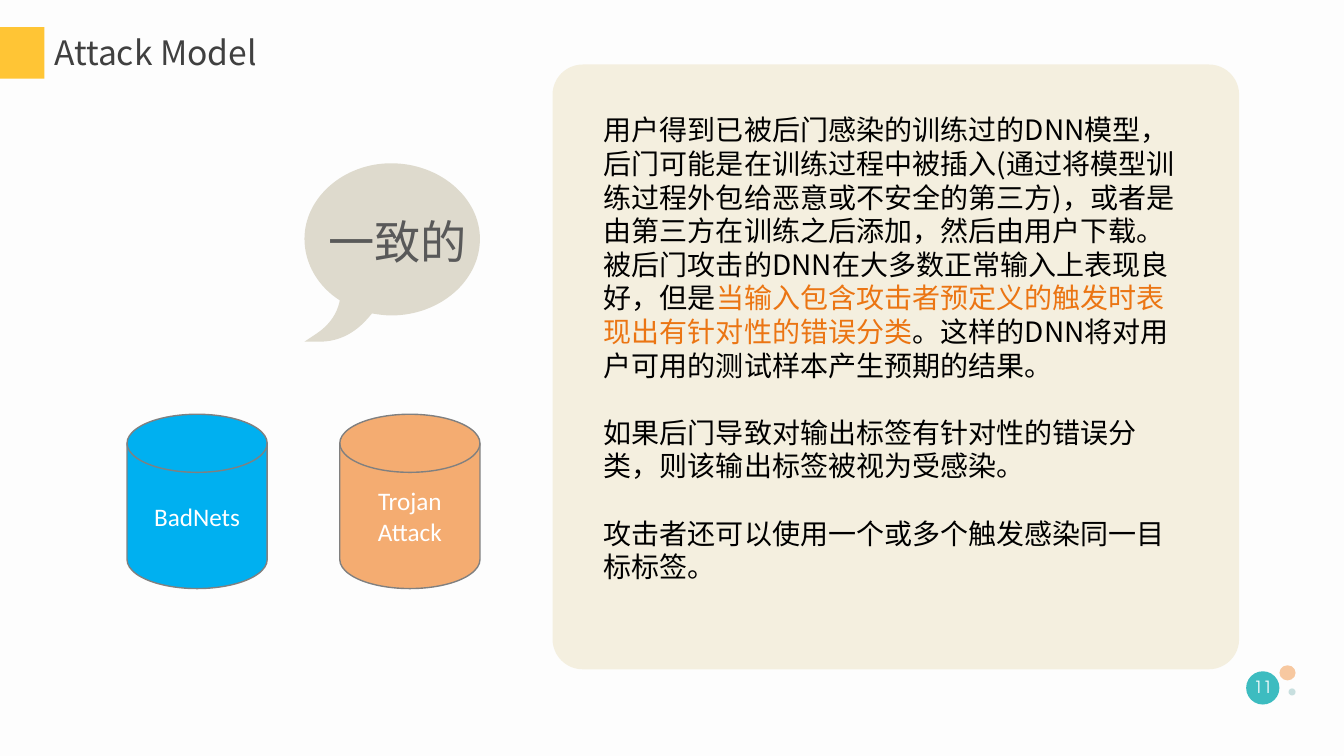
"""Builds the Attack Model slide."""
from dataclasses import dataclass

from lxml import etree
from pptx import Presentation
from pptx import util as u
from pptx.dml.color import RGBColor
from pptx.enum import shapes, text
from pptx.oxml.ns import qn


@dataclass(frozen=True)
class Theme:
    """Colours, fonts and type sizes of the slide."""
    background: str = "FDFDFD"
    accent: str = "FFC535"
    panel: str = "F4EFDF"
    bubble: str = "DEDACD"
    outline: str = "808080"
    blue: str = "00B0F0"
    orange: str = "F4AC71"
    teal: str = "3DBCC0"
    peach: str = "F7C8A0"
    mist: str = "C8DFDF"
    title: str = "404040"
    quote: str = "595959"
    body: str = "000000"
    highlight: str = "EB7513"
    white: str = "FFFFFF"
    chinese_font: str = "Noto Sans CJK SC"
    quote_font: str = "Arial"
    label_font: str = "Calibri"
    number_font: str = "TeX Gyre Adventor"
    title_size: int = 24
    quote_size: int = 33
    body_size: int = 20
    body_line: int = 24
    label_size: int = 18
    number_size: int = 12


THEME = Theme()

BODY = [
    [
        ("用户得到已被后门感染的训练过的DNN模型，后门可能是在训练过程中被插入"
         "(通过将模型训练过程外包给恶意或不安全的第三方)，或者是由第三方在训练之后添加，"
         "然后由用户下载。被后门攻击的DNN在大多数正常输入上表现良好，但是", THEME.body),
        ("当输入包含攻击者预定义的触发时表现出有针对性的错误分类", THEME.highlight),
        ("。这样的DNN将对用户可用的测试样本产生预期的结果。", THEME.body),
    ],
    [("如果后门导致对输出标签有针对性的错误分类，则该输出标签被视为受感染。", THEME.body)],
    [("攻击者还可以使用一个或多个触发感染同一目标标签。", THEME.body)],
]

BUBBLE_START = (3.88, 1.62)
BUBBLE_CURVES = [
    ((3.41, 1.62), (3.02, 1.96), (3.02, 2.37)),
    ((3.02, 2.61), (3.15, 2.84), (3.37, 2.98)),
    ((3.36, 3.04), (3.32, 3.19), (3.14, 3.31)),
    ((3.02, 3.39), (3.02, 3.39), (3.02, 3.39)),
    ((3.17, 3.39), (3.17, 3.39), (3.17, 3.39)),
    ((3.47, 3.39), (3.63, 3.18), (3.69, 3.11)),
    ((3.75, 3.12), (3.82, 3.13), (3.88, 3.13)),
    ((4.36, 3.13), (4.76, 2.79), (4.76, 2.37)),
    ((4.76, 1.96), (4.36, 1.62), (3.88, 1.62)),
]


def inches(values):
    """Turn numbers into lengths."""
    return [u.Inches(value) for value in values]


def paint(shape, fill, line=None):
    """Give a shape a flat fill and an optional thin outline."""
    shape.shadow.inherit = False
    shape.fill.solid()
    shape.fill.fore_color.rgb = RGBColor.from_string(fill)
    if line:
        shape.line.color.rgb = RGBColor.from_string(line)
        shape.line.width = u.Pt(1)
    else:
        shape.line.fill.background()


def add_run(paragraph, words, font, size, color):
    """Append one run, with a font for Latin and Chinese letters."""
    run = paragraph.add_run()
    run.text = words
    run.font.name = font
    run.font.size = u.Pt(size)
    run.font.color.rgb = RGBColor.from_string(color)
    east_asian = etree.Element(qn("a:ea"), typeface=THEME.chinese_font)
    run.font._element.find(qn("a:latin")).addnext(east_asian)


def add_block(slide, kind, box, fill, line=None):
    """Add a painted preset shape."""
    shape = slide.shapes.add_shape(kind, *inches(box))
    paint(shape, fill, line)
    return shape


def add_label(slide, box, words, font, size, color, align=text.PP_ALIGN.LEFT):
    """Add a one-line text box centred vertically."""
    frame = slide.shapes.add_textbox(*inches(box)).text_frame
    frame.word_wrap = False
    frame.vertical_anchor = text.MSO_ANCHOR.MIDDLE
    paragraph = frame.paragraphs[0]
    paragraph.alignment = align
    add_run(paragraph, words, font, size, color)


def add_cylinder(slide, left, words, fill):
    """Add an outlined cylinder naming an attack."""
    kind = shapes.MSO_SHAPE.FLOWCHART_MAGNETIC_DISK
    shape = add_block(slide, kind, (left, 4.11, 1.39, 1.73), fill, THEME.outline)
    frame = shape.text_frame
    frame.word_wrap = True
    frame.vertical_anchor = text.MSO_ANCHOR.MIDDLE
    paragraph = frame.paragraphs[0]
    paragraph.alignment = text.PP_ALIGN.CENTER
    add_run(paragraph, words, THEME.label_font, THEME.label_size, THEME.white)


def bend_segments(shape):
    """Turn each three straight segments of an outline into one cubic curve."""
    segments = list(shape._element.iter(qn("a:lnTo")))
    for index in range(0, len(segments), 3):
        curve = etree.Element(qn("a:cubicBezTo"))
        segments[index].addprevious(curve)
        for segment in segments[index:index + 3]:
            curve.append(segment[0])
            segment.getparent().remove(segment)


def add_bubble(slide):
    """Add the speech bubble and its word."""
    builder = slide.shapes.build_freeform(*inches(BUBBLE_START), scale=1.0)
    controls = [inches(point) for curve in BUBBLE_CURVES for point in curve]
    builder.add_line_segments(controls, close=True)
    bubble = builder.convert_to_shape()
    bend_segments(bubble)
    paint(bubble, THEME.bubble)
    add_label(slide, (3.16, 2.06, 1.59, 0.66), "一致的",
              THEME.quote_font, THEME.quote_size, THEME.quote)


def add_body(slide):
    """Add the panel and its paragraphs, one line apart."""
    panel = add_block(slide, shapes.MSO_SHAPE.ROUNDED_RECTANGLE, (5.48, 0.64, 6.81, 6), THEME.panel)
    panel.adjustments[0] = 0.05
    frame = slide.shapes.add_textbox(*inches((5.89, 1.07, 6.01, 4.81))).text_frame
    frame.word_wrap = True
    for index, runs in enumerate(BODY):
        paragraph = frame.add_paragraph() if index else frame.paragraphs[0]
        paragraph.line_spacing = u.Pt(THEME.body_line)
        paragraph.space_before = u.Pt(THEME.body_line if index else 0)
        paragraph._p.get_or_add_pPr().set("hangingPunct", "0")
        for words, color in runs:
            add_run(paragraph, words, THEME.chinese_font, THEME.body_size, color)


def add_page_number(slide):
    """Add the dots and the page number."""
    dots = [
        ((12.36, 6.66, 0.33, 0.33), THEME.teal),
        ((12.69, 6.6, 0.16, 0.15), THEME.peach),
        ((12.78, 6.83, 0.07, 0.07), THEME.mist),
    ]
    for box, fill in dots:
        add_block(slide, shapes.MSO_SHAPE.OVAL, box, fill)
    add_label(slide, (12.29, 6.61, 0.47, 0.4), "11", THEME.number_font,
              THEME.number_size, THEME.white, text.PP_ALIGN.CENTER)


def main():
    """Build and save the slide."""
    presentation = Presentation()
    presentation.slide_width, presentation.slide_height = inches((13.33, 7.5))
    slide = presentation.slides.add_slide(presentation.slide_layouts[6])
    slide.background.fill.solid()
    slide.background.fill.fore_color.rgb = RGBColor.from_string(THEME.background)
    add_page_number(slide)
    add_block(slide, shapes.MSO_SHAPE.RECTANGLE, (0, 0.27, 0.44, 0.51), THEME.accent)
    add_label(slide, (0.44, 0.26, 2.21, 0.51), "Attack Model",
              THEME.chinese_font, THEME.title_size, THEME.title)
    add_body(slide)
    add_bubble(slide)
    add_cylinder(slide, 1.26, "BadNets", THEME.blue)
    add_cylinder(slide, 3.37, "Trojan Attack", THEME.orange)
    presentation.save("out.pptx")


main()
